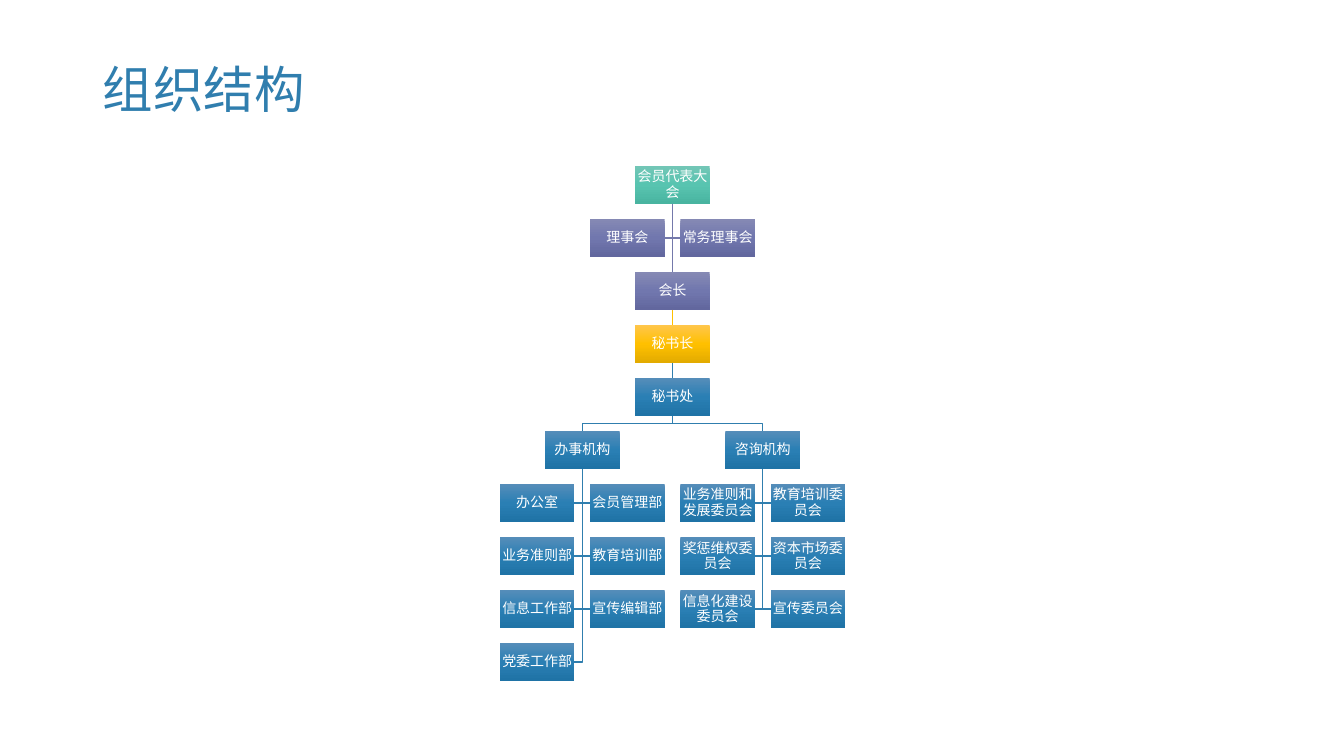
import copy

import pptx
import pptx.dml.color
import pptx.enum.shapes
import pptx.enum.text
import pptx.oxml
import pptx.oxml.ns
import pptx.util

FONT = "Arial"
COLORS = {"title": "307EAE", "text": "FFFFFF"}
LINES = {"violet": "7479AB", "gold": "FFC000", "blue": "307EAE"}
GRADIENTS = {
    "green": ("72C6B6", "58C4B0", "49B4A0"),
    "violet": ("8589B4", "7177AE", "62679E"),
    "gold": ("FFC64B", "FFC000", "E3AB00"),
    "blue": ("558DB9", "2A7FB4", "1F73A6"),
}

# Columns count from the centre line; rows count down from the top box.
CENTER, TOP = 6.67, 1.65
COLUMN, ROW = 0.4475, 0.526
BOX_WIDTH, BOX_HEIGHT = 0.74, 0.37

CHAIN = [
    ("会员代表大会", 0, "green"),
    ("会长", 2, "violet"),
    ("秘书长", 3, "gold"),
    ("秘书处", 4, "blue"),
]
ASSISTANTS = ["理事会", "常务理事会"]
BRANCHES = [
    ("办事机构", -2, ["办公室", "会员管理部", "业务准则部", "教育培训部",
                  "信息工作部", "宣传编辑部", "党委工作部"]),
    ("咨询机构", 2, ["业务准则和发展委员会", "教育培训委员会", "奖惩维权委员会",
                 "资本市场委员会", "信息化建设委员会", "宣传委员会"]),
]


def rgb(value):
    return pptx.dml.color.RGBColor.from_string(value)


def format_text(para, size, color):
    para.line_spacing = 0.9
    for span in para.runs:
        span.font.name = FONT
        span.font.size = pptx.util.Pt(size)
        span.font.color.rgb = rgb(color)


def fill_gradient(box, colors):
    """Fill from top to bottom with three evenly spaced stops."""
    box.fill.gradient()
    box.fill.gradient_angle = 270
    stop_list = box._element.spPr.find(".//" + pptx.oxml.ns.qn("a:gsLst"))
    stop_list.append(copy.deepcopy(stop_list[-1]))
    for index, (stop, color) in enumerate(zip(box.fill.gradient_stops, colors)):
        stop.position = index / 2
        stop.color.rgb = rgb(color)


def add_title(page, text):
    title = page.shapes.title
    title.left, title.top = pptx.util.Inches(0.92), pptx.util.Inches(0.4)
    title.width, title.height = pptx.util.Inches(11.5), pptx.util.Inches(1.03)
    frame = title.text_frame
    frame.text = text
    frame.vertical_anchor = pptx.enum.text.MSO_ANCHOR.MIDDLE
    frame.paragraphs[0].alignment = pptx.enum.text.PP_ALIGN.LEFT
    format_text(frame.paragraphs[0], 36, COLORS["title"])


def add_unit(page, text, column, row, color):
    box = page.shapes.add_shape(
        pptx.enum.shapes.MSO_SHAPE.RECTANGLE,
        pptx.util.Inches(CENTER + column * COLUMN - BOX_WIDTH / 2),
        pptx.util.Inches(TOP + row * ROW),
        pptx.util.Inches(BOX_WIDTH), pptx.util.Inches(BOX_HEIGHT))
    box.shadow.inherit = False
    box.line.fill.background()
    fill_gradient(box, GRADIENTS[color])
    frame = box.text_frame
    frame.text = text
    frame.word_wrap = True
    frame.vertical_anchor = pptx.enum.text.MSO_ANCHOR.MIDDLE
    frame.margin_left = frame.margin_right = pptx.util.Inches(0.01)
    frame.margin_top = frame.margin_bottom = pptx.util.Inches(0.01)
    frame.paragraphs[0].alignment = pptx.enum.text.PP_ALIGN.CENTER
    format_text(frame.paragraphs[0], 10, COLORS["text"])
    return box


def middle(box):
    return box.left + box.width // 2


def bottom(box):
    return box.top + box.height


def style_line(line, color):
    line.color.rgb = rgb(LINES[color])
    line.width = pptx.util.Pt(1)


def join_down(page, parent, child, color):
    link = page.shapes.add_connector(
        pptx.enum.shapes.MSO_CONNECTOR.STRAIGHT,
        middle(parent), bottom(parent), middle(child), child.top)
    link.begin_connect(parent, 2)
    link.end_connect(child, 0)
    style_line(link.line, color)
    link._element.spPr.append(pptx.oxml.parse_xml(
        "<a:effectLst %s/>" % pptx.oxml.ns.nsdecls("a")))


def add_bent_line(page, points, color):
    builder = page.shapes.build_freeform(*points[0])
    builder.add_line_segments(points[1:], close=False)
    bend = builder.convert_to_shape()
    bend.shadow.inherit = False
    bend.fill.background()
    style_line(bend.line, color)


def join_step(page, parent, child, color):
    """Go down, across and down again, turning halfway between the boxes."""
    turn = (bottom(parent) + child.top) // 2
    add_bent_line(page, [(middle(parent), bottom(parent)), (middle(parent), turn),
                         (middle(child), turn), (middle(child), child.top)], color)


def add_side_pairs(page, parent, names, column, first_row, color):
    """Hang units left and right of the line below their parent."""
    for index, name in enumerate(names):
        side = 1 if index % 2 else -1
        unit = add_unit(page, name, column + side, first_row + index // 2, color)
        height = unit.top + unit.height // 2
        edge = unit.left if side > 0 else unit.left + unit.width
        add_bent_line(page, [(middle(parent), bottom(parent)),
                             (middle(parent), height), (edge, height)], color)


def main():
    deck = pptx.Presentation()
    deck.slide_width = pptx.util.Inches(13.33)
    deck.slide_height = pptx.util.Inches(7.5)
    page = deck.slides.add_slide(deck.slide_layouts.get_by_name("Title Only"))
    add_title(page, "组织结构")

    chain = [add_unit(page, name, 0, row, color) for name, row, color in CHAIN]
    for parent, child, (_, _, color) in zip(chain, chain[1:], CHAIN[1:]):
        join_down(page, parent, child, color)
    add_side_pairs(page, chain[0], ASSISTANTS, 0, 1, "violet")

    for name, column, members in BRANCHES:
        head = add_unit(page, name, column, 5, "blue")
        join_step(page, chain[-1], head, "blue")
        add_side_pairs(page, head, members, column, 6, "blue")
    deck.save("out.pptx")


if __name__ == "__main__":
    main()
